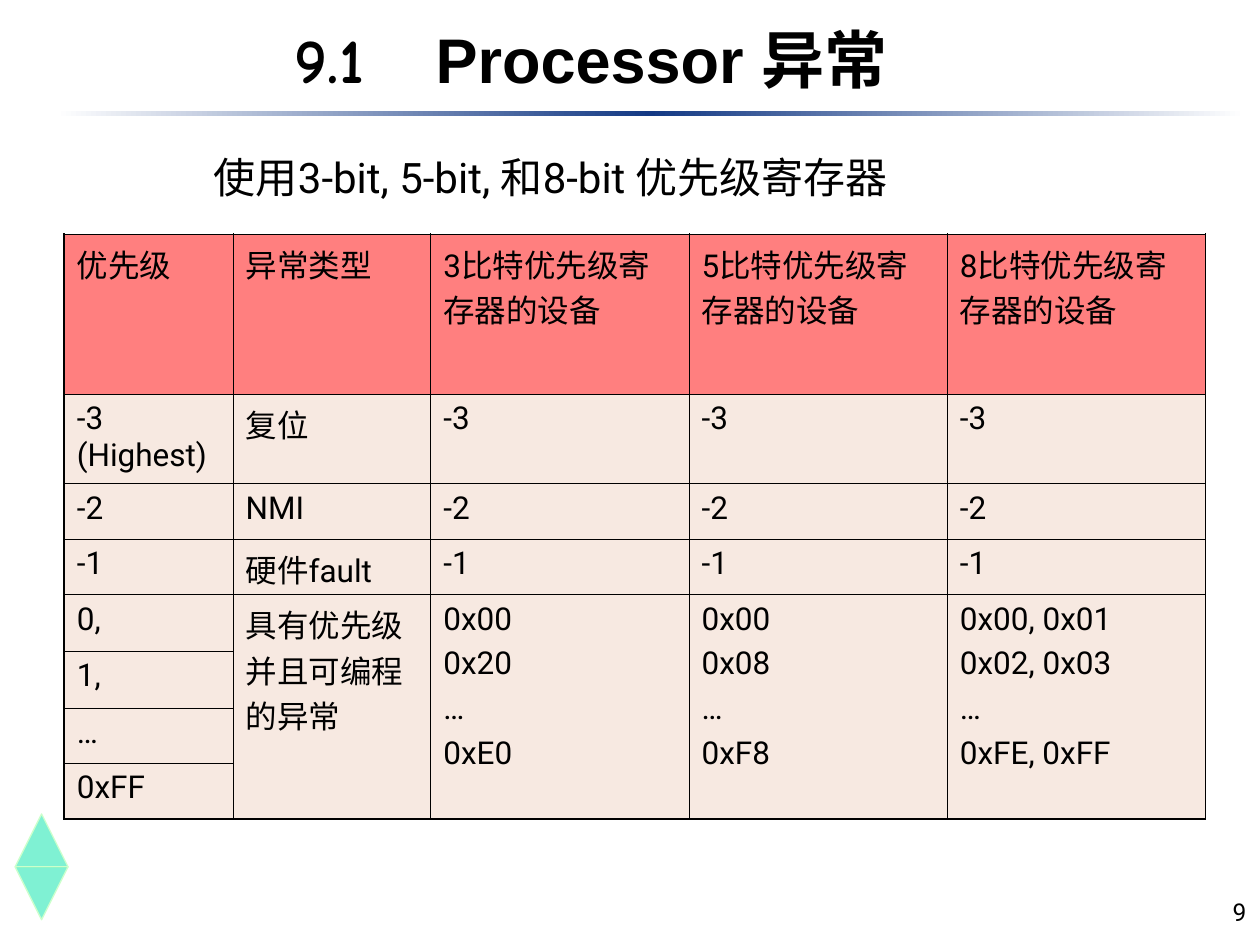
from dataclasses import dataclass

from lxml import etree
from pptx import Presentation
from pptx.dml.color import RGBColor
from pptx.enum.shapes import MSO_SHAPE
from pptx.enum.text import MSO_ANCHOR, MSO_AUTO_SIZE, PP_ALIGN
from pptx.oxml.ns import qn
from pptx.util import Inches, Pt

RECTANGLE, TRIANGLE = MSO_SHAPE.RECTANGLE, MSO_SHAPE.ISOSCELES_TRIANGLE
MIDDLE, BOTTOM = MSO_ANCHOR.MIDDLE, MSO_ANCHOR.BOTTOM
LEFT, RIGHT = PP_ALIGN.LEFT, PP_ALIGN.RIGHT
GROW = MSO_AUTO_SIZE.SHAPE_TO_FIT_TEXT
TITLE_ONLY = 5


@dataclass(frozen=True)
class Theme:
    text: str = "000000"
    rule_edge: str = "FFFFFF"
    rule_center: str = "133984"
    marker: str = "00E4A8"
    marker_line: str = "CCFFCC"
    header: str = "FF0000"
    body: str = "F1D5C5"
    body_font: str = "Roboto"
    heading_font: str = "Arial"
    number_font: str = "Comic Neue"
    chinese_font: str = "Noto Sans CJK SC"
    title_size: float = 36
    subtitle_size: float = 24
    table_size: float = 18
    page_size: float = 14
    row_gap: float = 4.5
    inner_border: float = 0.45
    outer_border: float = 1.08


def place(shape, left, top, width, height):
    shape.left, shape.top = Inches(left), Inches(top)
    shape.width, shape.height = Inches(width), Inches(height)


def fill_half_transparent(fill, color):
    fill.solid()
    fill.fore_color.rgb = RGBColor.from_string(color)
    for color_node in fill._xPr.iter(qn("a:srgbClr")):
        etree.SubElement(color_node, qn("a:alpha"), val="50000")


class SlideBuilder:
    def __init__(self, slide, theme):
        self.slide = slide
        self.theme = theme

    def run(self, paragraph, text, size, font=None, bold=False):
        run = paragraph.add_run()
        run.text = text
        run.font.size = Pt(size)
        run.font.bold = bold
        run.font.name = font or self.theme.body_font
        run.font.color.rgb = RGBColor.from_string(self.theme.text)
        latin = run.font._element.find(qn("a:latin"))
        latin.addnext(latin.makeelement(qn("a:ea"), typeface=self.theme.chinese_font))

    def title(self, parts, box, tab):
        """Write (text, font) parts, with one tab stop in inches."""
        title = self.slide.shapes.title
        place(title, *box)
        frame = title.text_frame
        frame.margin_top = frame.margin_bottom = 0
        frame.vertical_anchor = MIDDLE
        frame.auto_size = GROW
        paragraph = frame.paragraphs[0]
        paragraph.alignment = LEFT
        stops = etree.SubElement(paragraph._p.get_or_add_pPr(), qn("a:tabLst"))
        etree.SubElement(stops, qn("a:tab"), pos=str(Inches(tab)), algn="l")
        for text, font in parts:
            self.run(paragraph, text, self.theme.title_size, font, bold=True)

    def text(self, text, box, size, anchor, align=LEFT):
        label = self.slide.shapes.add_textbox(*map(Inches, box))
        frame = label.text_frame
        frame.word_wrap = True
        frame.vertical_anchor = anchor
        frame.paragraphs[0].alignment = align
        self.run(frame.paragraphs[0], text, size)

    def shape(self, kind, box, flip=None):
        shape = self.slide.shapes.add_shape(kind, *map(Inches, box))
        shape.shadow.inherit = False
        if flip:
            shape._element.spPr.find(qn("a:xfrm")).set(flip, "1")
        return shape

    def rule_half(self, box, flip=None):
        half = self.shape(RECTANGLE, box, flip)
        half.line.fill.background()
        half.fill.gradient()
        half.fill.gradient_angle = 0
        colors = (self.theme.rule_edge, self.theme.rule_center)
        for stop, color in zip(half.fill.gradient_stops, colors):
            stop.color.rgb = RGBColor.from_string(color)

    def marker(self, box, flip=None):
        marker = self.shape(TRIANGLE, box, flip)
        fill_half_transparent(marker.fill, self.theme.marker)
        marker.line.color.rgb = RGBColor.from_string(self.theme.marker_line)
        marker.line.width = Pt(0.75)

    def border(self, cell, outer_sides):
        properties = cell._tc.get_or_add_tcPr()
        for index, side in enumerate("LRTB"):
            width = self.theme.outer_border if side in outer_sides else self.theme.inner_border
            line = properties.makeelement(qn(f"a:ln{side}"), w=str(Pt(width)))
            solid = etree.SubElement(line, qn("a:solidFill"))
            etree.SubElement(solid, qn("a:srgbClr"), val=self.theme.text)
            properties.insert(index, line)

    def cell_text(self, cell, text):
        for index, line in enumerate(text.split("\n")):
            frame = cell.text_frame
            paragraph = frame.add_paragraph() if index else frame.paragraphs[0]
            if index:
                paragraph.space_before = Pt(self.theme.row_gap)
            self.run(paragraph, line, self.theme.table_size)

    def table(self, rows, left, top, widths, heights, merged_from):
        """Draw rows; columns after the first are merged from merged_from to the end."""
        last_row, last_column = len(heights) - 1, len(widths) - 1
        table = self.slide.shapes.add_table(
            len(heights), len(widths), Inches(left), Inches(top),
            Inches(sum(widths)), Inches(sum(heights))).table
        for column, width in zip(table.columns, widths):
            column.width = Inches(width)
        for row, height in zip(table.rows, heights):
            row.height = Inches(height)
        for r in range(last_row + 1):
            for c in range(last_column + 1):
                cell = table.cell(r, c)
                fill_half_transparent(cell.fill, self.theme.body if r else self.theme.header)
                reaches_bottom = r == last_row or (c > 0 and r >= merged_from)
                edges = {"L": c == 0, "R": c == last_column, "T": r == 0, "B": reaches_bottom}
                self.border(cell, [side for side, outer in edges.items() if outer])
        for c in range(1, last_column + 1):
            table.cell(merged_from, c).merge(table.cell(last_row, c))
        for r, texts in enumerate(rows):
            for c, text in enumerate(texts):
                self.cell_text(table.cell(r, c), text)


def main():
    theme = Theme()
    deck = Presentation()
    deck.slide_width, deck.slide_height = Inches(10), Inches(7.5)
    slide = deck.slides.add_slide(deck.slide_layouts[TITLE_ONLY])
    builder = SlideBuilder(slide, theme)

    half_width = 4.72
    builder.rule_half((0.44, 0.88, half_width, 0.04))
    builder.rule_half((0.44 + half_width, 0.88, half_width, 0.04), "flipH")
    side = 0.42
    builder.marker((0.12, 6.46, side, side))
    builder.marker((0.12, 6.46 + side, side, side), "flipV")

    builder.title([("9.1\t ", theme.number_font), ("Processor ", theme.heading_font),
                   ("异常", theme.chinese_font)], (2.24, 0.16, 5.51, 0.6), tab=0.94)
    builder.text("使用3-bit, 5-bit, 和8-bit 优先级寄存器", (1.6, 1.15, 6.23, 0.5),
                 theme.subtitle_size, MIDDLE)

    register_headers = [f"{bits}比特优先级寄存器的设备" for bits in (3, 5, 8)]
    fixed_rows = [[name, kind] + [level] * 3 for name, kind, level in (
        ("-3 (Highest)", "复位", "-3"), ("-2", "NMI", "-2"), ("-1", "硬件fault", "-1"))]
    programmable = ["0,", "具有优先级并且可编程的异常", "0x00\n0x20\n…\n0xE0",
                    "0x00\n0x08\n…\n0xF8", "0x00, 0x01\n0x02, 0x03\n…\n0xFE, 0xFF"]
    priorities = [["优先级", "异常类型"] + register_headers, *fixed_rows, programmable,
                  ["1,"], ["…"], ["0xFF"]]
    builder.table(priorities, 0.51, 1.86, [1.34, 1.57] + [2.05] * 3,
                  [1.27, 0.71] + [0.44] * 2 + [0.45] * 2 + [0.44] * 2, merged_from=4)

    builder.text("9", (7.91, 6.9, 2.08, 0.5), theme.page_size, BOTTOM, RIGHT)
    deck.save("out.pptx")


if __name__ == "__main__":
    main()
